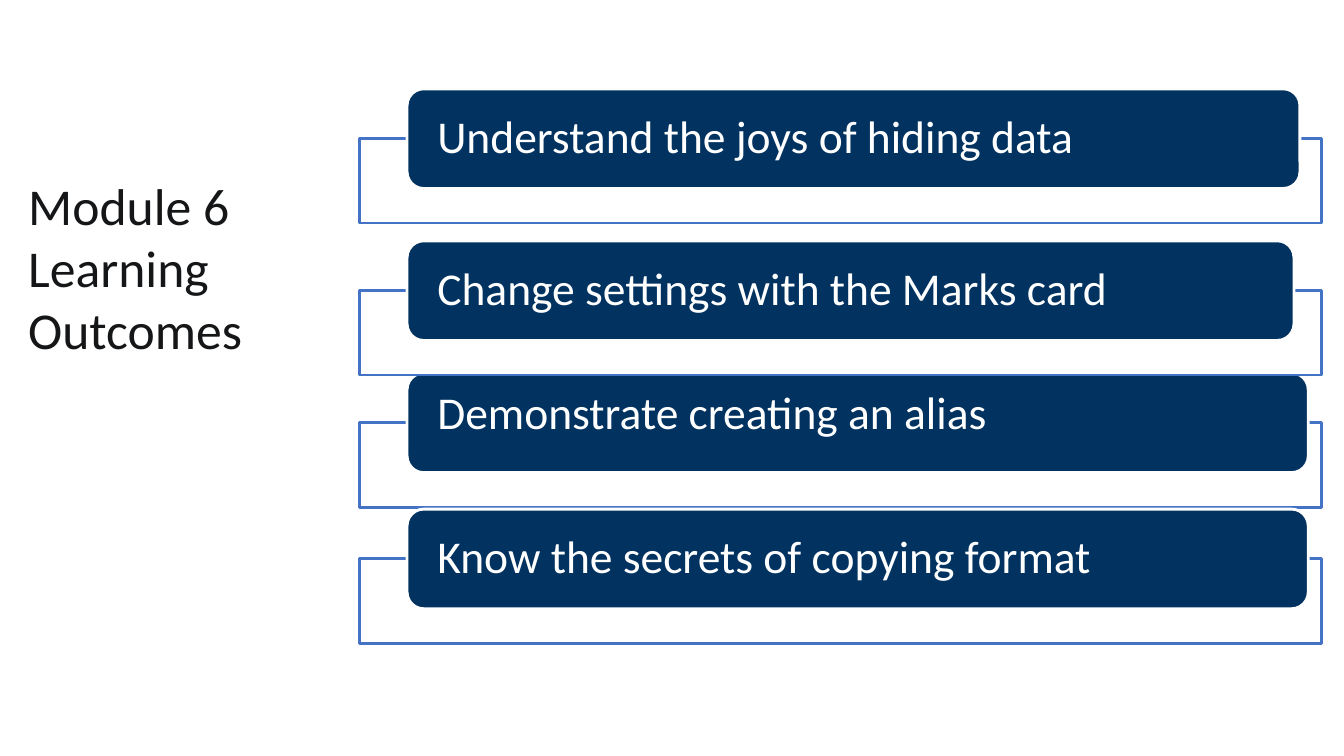
from lxml import etree
from pptx import Presentation
from pptx.dml.color import RGBColor
from pptx.enum.shapes import MSO_SHAPE
from pptx.enum.text import MSO_ANCHOR, MSO_AUTO_SIZE, PP_ALIGN
from pptx.oxml.ns import qn
from pptx.util import Cm, Pt

RECT, ROUND = MSO_SHAPE.RECTANGLE, MSO_SHAPE.ROUNDED_RECTANGLE
MIDDLE, LEFT = MSO_ANCHOR.MIDDLE, PP_ALIGN.LEFT
NO_FIT = MSO_AUTO_SIZE.NONE
TITLE_ONLY = 5

FONT = "Calibri"
COLORS = {"white": "FFFFFF", "navy": "013260", "blue": "4472C4", "ink": "151618"}

FRAME_LEFT, FRAME_WIDTH, FRAME_HEIGHT = 9.07, 24.23, 2.13
FRAME_DROP = 1.25  # from the top of a bar to the top of its frame
BAR_LEFT, BAR_HEIGHT = 10.26, 2.51

# Back to front: text, bar top, bar width, inset below the text
OUTCOMES = [
    ("Demonstrate creating an alias", 9.4, 22.71, 0.43),
    ("Know the secrets of copying format", 12.83, 22.71, 0),
    ("Understand the joys of hiding data", 2.24, 22.5, 0),
    ("Change settings with the Marks card", 6.07, 22.35, 0),
]


def rgb(name):
    return RGBColor.from_string(COLORS[name])


def add_box(slide, kind, left, top, width, height, fill, line):
    sp = slide.shapes.add_shape(kind, Cm(left), Cm(top), Cm(width), Cm(height))
    sp.shadow.inherit = False
    sp.fill.solid()
    sp.fill.fore_color.rgb = rgb(fill)
    sp.line.color.rgb = rgb(line)
    sp.line.width = Pt(2)
    return sp


def set_opacity(sp, percent):
    clr = sp.fill._xPr.find(qn("a:solidFill")).find(qn("a:srgbClr"))
    etree.SubElement(clr, qn("a:alpha")).set("val", str(percent * 1000))


def write_text(tf, text, size, color, spacing):
    tf.word_wrap = True
    tf.auto_size = NO_FIT
    tf.vertical_anchor = MIDDLE
    p = tf.paragraphs[0]
    p.alignment = LEFT
    p.line_spacing = spacing
    r = p.add_run()
    r.text = text
    r.font.name = FONT
    r.font.size = Pt(size)
    r.font.color.rgb = rgb(color)


def set_insets(tf, left, top, right, bottom):
    tf.margin_left, tf.margin_top = Cm(left), Cm(top)
    tf.margin_right, tf.margin_bottom = Cm(right), Cm(bottom)


def add_title(slide, text):
    sp = slide.shapes.title
    sp.left, sp.top, sp.width, sp.height = Cm(0.58), Cm(4.09), Cm(7.87), Cm(5.28)
    set_insets(sp.text_frame, 0.13, 0.13, 0.13, 0.13)
    write_text(sp.text_frame, text, 36.9, "ink", 1.0)


def add_outcome(slide, text, top, width, inset_below):
    frame = add_box(slide, RECT, FRAME_LEFT, top + FRAME_DROP,
                    FRAME_WIDTH, FRAME_HEIGHT, "white", "blue")
    set_opacity(frame, 88)
    bar = add_box(slide, ROUND, BAR_LEFT, top, width, BAR_HEIGHT, "navy", "white")
    bar.adjustments[0] = 0.167
    set_insets(bar.text_frame, 0.64, 0, 0.64, inset_below)
    write_text(bar.text_frame, text, 32.5, "white", 0.9)


def main():
    prs = Presentation()
    prs.slide_width, prs.slide_height = Cm(33.87), Cm(19.05)
    slide = prs.slides.add_slide(prs.slide_layouts[TITLE_ONLY])

    # Heading on the left
    add_title(slide, "Module 6 Learning Outcomes")

    # Framed bars on the right
    for outcome in OUTCOMES:
        add_outcome(slide, *outcome)

    prs.save("out.pptx")


if __name__ == "__main__":
    main()
